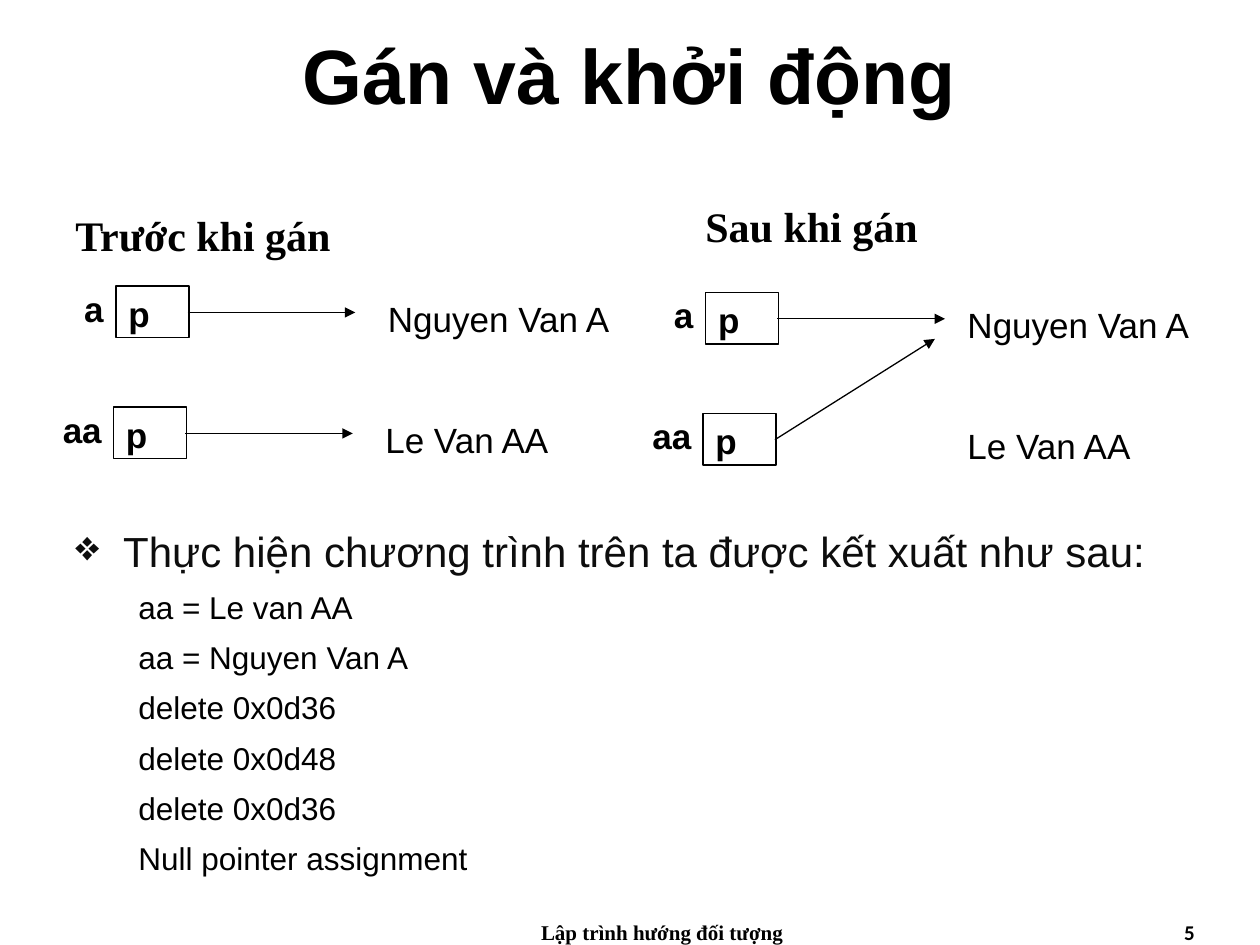
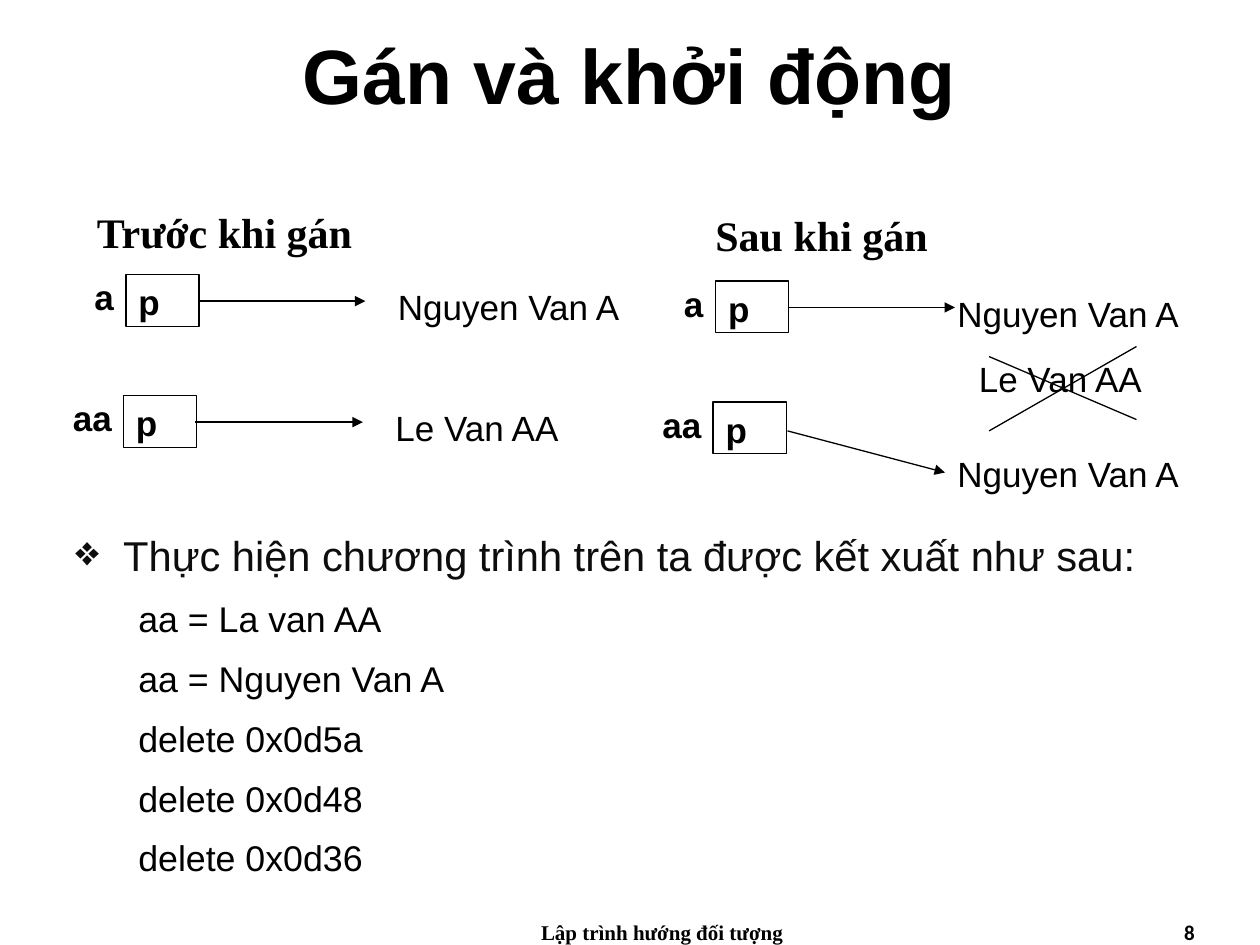
from dataclasses import dataclass

from lxml import etree
from pptx import Presentation
from pptx.dml.color import RGBColor
from pptx.enum.shapes import MSO_CONNECTOR, MSO_SHAPE
from pptx.enum.text import MSO_ANCHOR, PP_ALIGN
from pptx.oxml.ns import qn
from pptx.util import Inches, Pt

BLACK = RGBColor(0x00, 0x00, 0x00)
SOFT_BLACK = RGBColor(0x0D, 0x0D, 0x0D)
LEFT, CENTER, RIGHT = PP_ALIGN.LEFT, PP_ALIGN.CENTER, PP_ALIGN.RIGHT
JUSTIFY = PP_ALIGN.JUSTIFY
TOP, MIDDLE = MSO_ANCHOR.TOP, MSO_ANCHOR.MIDDLE
RECTANGLE = MSO_SHAPE.RECTANGLE
STRAIGHT = MSO_CONNECTOR.STRAIGHT

TITLE_FONT = {"name": "Arial", "size": Pt(44), "bold": True}
HEADING_FONT = {"name": "Times New Roman", "size": Pt(24), "bold": True}
FOOTER_FONT = {"name": "Times New Roman", "size": Pt(12), "bold": True}
NUMBER_FONT = {"name": "Calibri", "size": Pt(12), "bold": True}
VALUE_FONT = {"name": "Arial", "size": Pt(20)}
NAME_FONT = {**VALUE_FONT, "bold": True}

TITLE = "Gán và khởi động"
FOOTER = "Lập trình hướng đối tượng"
RESULT_HEADING = "Thực hiện chương trình trên ta được kết xuất như sau:"

CELL_WIDTH, CELL_HEIGHT = 0.58, 0.41
ROW_STEP = (-0.02, 0.96)
ARROW_START = (0.57, 0.21)
STRAIGHT_ARROW = (1.9, 0.21)


@dataclass
class Pointer:
    """One variable; all offsets are taken from the corner of its cell."""
    name: str
    value: str
    value_offset: tuple = (2.06, 0.04)
    arrow_end: tuple = STRAIGHT_ARROW
    arrow_start: tuple = ARROW_START


@dataclass
class Panel:
    """The state of memory before or after the assignment."""
    heading: str
    heading_at: tuple
    first_cell: tuple
    pointers: tuple


def set_values(target, values):
    for name, value in values.items():
        setattr(target, name, value)


def write(paragraph, text, font, color=BLACK):
    run = paragraph.add_run()
    run.text = text
    set_values(run.font, font)
    run.font.color.rgb = color


def add_text(slide, box, text, font, alignment=LEFT, anchor=TOP):
    shape = slide.shapes.add_textbox(*map(Inches, box))
    frame = shape.text_frame
    set_values(frame, {"word_wrap": True, "vertical_anchor": anchor})
    frame.paragraphs[0].alignment = alignment
    write(frame.paragraphs[0], text, font)


def add_line(slide, start, end, arrow=False):
    line = slide.shapes.add_connector(STRAIGHT, *map(Inches, (*start, *end)))
    line.line.color.rgb = BLACK
    line.line.width = Pt(0.75)
    if arrow:
        outline = line.line._get_or_add_ln()
        etree.SubElement(outline, qn("a:tailEnd"), type="triangle")
    etree.SubElement(line._element.spPr, qn("a:effectLst"))


def add_cell(slide, left, top):
    cell = slide.shapes.add_shape(
        RECTANGLE, *map(Inches, (left, top, CELL_WIDTH, CELL_HEIGHT)))
    cell.shadow.inherit = False
    cell.fill.background()
    cell.line.color.rgb = BLACK
    cell.line.width = Pt(0.75)
    cell.text_frame.vertical_anchor = TOP
    paragraph = cell.text_frame.paragraphs[0]
    paragraph.alignment = LEFT
    write(paragraph, "p", NAME_FONT)


def add_pointer(slide, left, top, pointer):
    def shifted(offset):
        return left + offset[0], top + offset[1]

    name_width = 0.27 + 0.15 * len(pointer.name)
    name_left = left + 0.07 - name_width
    add_text(slide, (name_left, top - 0.04, name_width, 0.4),
             pointer.name, NAME_FONT)
    add_cell(slide, left, top)
    add_line(slide, shifted(pointer.arrow_start), shifted(pointer.arrow_end),
             arrow=True)
    add_text(slide, (*shifted(pointer.value_offset), 2.15, 0.44),
             pointer.value, VALUE_FONT)


def add_panel(slide, panel):
    add_text(slide, (*panel.heading_at, 3.6, 0.6), panel.heading, HEADING_FONT)
    left, top = panel.first_cell
    for row, pointer in enumerate(panel.pointers):
        add_pointer(slide, left + row * ROW_STEP[0], top + row * ROW_STEP[1],
                    pointer)


def add_deleted_value(slide, left, top, text):
    """Write a value and cross it out."""
    add_text(slide, (left, top, 1.75, 0.44), text, VALUE_FONT)
    near, far = left + 0.18, left + 1.35
    add_line(slide, (near, top + 0.04), (far, top + 0.54))
    add_line(slide, (far, top - 0.04), (near, top + 0.63))


def set_indent(paragraph, margin, indent, bullet=None):
    properties = paragraph._p.get_or_add_pPr()
    properties.set("marL", str(Inches(margin)))
    properties.set("indent", str(Inches(indent)))
    if bullet:
        etree.SubElement(properties, qn("a:buChar"), char=bullet)


def add_results(slide, box, lines, heading_size, heading_spacing, line_size,
                line_spacing):
    frame = slide.shapes.add_textbox(*map(Inches, box)).text_frame
    frame.word_wrap = True
    for index, text in enumerate((RESULT_HEADING, *lines)):
        is_heading = index == 0
        paragraph = frame.paragraphs[0] if is_heading else frame.add_paragraph()
        set_values(paragraph, {
            "alignment": JUSTIFY, "space_before": Pt(3), "space_after": Pt(3),
            "line_spacing": heading_spacing if is_heading else line_spacing})
        if is_heading:
            set_indent(paragraph, 0.38, -0.38, "❖")
        else:
            set_indent(paragraph, 0.5, 0)
        size = heading_size if is_heading else line_size
        write(paragraph, text, {"name": "Arial", "size": Pt(size)},
              SOFT_BLACK if is_heading else BLACK)


def add_base_slide(presentation, number):
    slide = presentation.slides.add_slide(presentation.slide_layouts[6])
    add_text(slide, (0, 0, 10, 1.17), TITLE, TITLE_FONT, CENTER, MIDDLE)
    add_text(slide, (3.67, 7.25, 3.17, 0.25), FOOTER, FOOTER_FONT, CENTER)
    add_text(slide, (7.25, 7.25, 2.33, 0.25), str(number), NUMBER_FONT, RIGHT)
    return slide


def add_shared_pointer_slide(presentation):
    slide = add_base_slide(presentation, 5)
    add_results(slide, (0.5, 4, 9.17, 3.08),
                ("aa = Le van AA", "aa = Nguyen Van A", "delete 0x0d36",
                 "delete 0x0d48", "delete 0x0d36", "Null pointer assignment"),
                24, 1.3, 18, 1.05)
    add_panel(slide, Panel(
        "Trước khi gán", (0.5, 1.61), (0.92, 2.27),
        (Pointer("a", "Nguyen Van A"), Pointer("aa", "Le Van AA"))))
    add_panel(slide, Panel(
        "Sau khi gán", (5.5, 1.54), (5.6, 2.32),
        (Pointer("a", "Nguyen Van A", (1.98, 0.04)),
         Pointer("aa", "Le Van AA", (2, 0.04), (1.84, -0.59)))))


def add_copied_value_slide(presentation):
    slide = add_base_slide(presentation, 8)
    add_results(slide, (0.5, 4.08, 9.17, 3),
                ("aa = La van AA", "aa = Nguyen Van A", "delete 0x0d5a",
                 "delete 0x0d48", "delete 0x0d36"),
                23.8, 1.2, 20.4, 1.15)
    add_panel(slide, Panel(
        "Trước khi gán", (0.67, 1.59), (1, 2.18),
        (Pointer("a", "Nguyen Van A"), Pointer("aa", "Le Van AA"))))
    add_panel(slide, Panel(
        "Sau khi gán", (5.58, 1.61), (5.68, 2.23),
        (Pointer("a", "Nguyen Van A", (1.82, 0.04)),
         Pointer("aa", "Nguyen Van A", (1.84, 0.35), (1.84, 0.56),
                 (0.59, 0.23)))))
    add_deleted_value(slide, 7.67, 2.79, "Le Van AA")


def main():
    presentation = Presentation()
    presentation.slide_width = Inches(10)
    presentation.slide_height = Inches(7.5)
    add_shared_pointer_slide(presentation)
    add_copied_value_slide(presentation)
    presentation.save("out.pptx")


if __name__ == "__main__":
    main()
